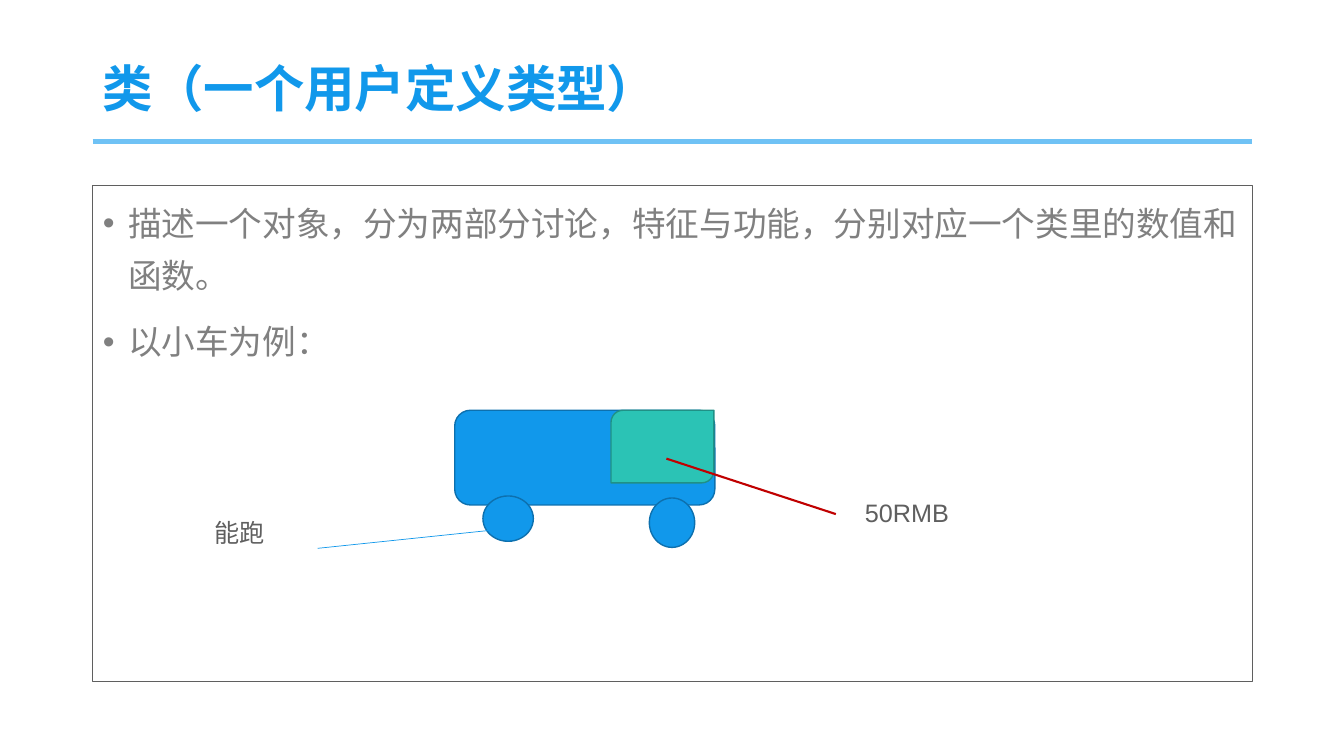
from dataclasses import dataclass

from lxml import etree
from pptx import Presentation
from pptx.dml.color import RGBColor
from pptx.enum import shapes, text
from pptx.oxml import ns
from pptx.util import Inches, Pt


@dataclass(frozen=True)
class Theme:
    font: str = "Arial"
    blue: str = "1198EB"
    blue_edge: str = "0D70AE"
    rule: str = "6FC2F5"
    teal: str = "2BC3B5"
    teal_edge: str = "209086"
    red: str = "C00000"
    dark: str = "5F5F5F"
    gray: str = "808080"
    white: str = "FFFFFF"
    title_size: int = 36
    body_size: int = 24
    label_size: int = 18


class SlideBuilder:
    def __init__(self, page, theme):
        self.page = page
        self.theme = theme

    def place(self, shape, left, top, width, height):
        shape.left, shape.top = Inches(left), Inches(top)
        shape.width, shape.height = Inches(width), Inches(height)

    def paint(self, shape, fill, edge):
        shape.fill.solid()
        shape.fill.fore_color.rgb = RGBColor.from_string(fill)
        self.stroke(shape.line, edge, 1)

    def stroke(self, line, color, width):
        line.color.rgb = RGBColor.from_string(color)
        line.width = Pt(width)

    def style(self, paragraph, size, color, bold=False):
        paragraph.font.name = self.theme.font
        paragraph.font.size = Pt(size)
        paragraph.font.bold = bold
        paragraph.font.color.rgb = RGBColor.from_string(color)

    def title(self, wording, *area):
        box = self.page.shapes.title
        self.place(box, *area)
        frame = box.text_frame
        frame.text = wording
        frame.auto_size = text.MSO_AUTO_SIZE.NONE
        frame.vertical_anchor = text.MSO_ANCHOR.MIDDLE
        paragraph = frame.paragraphs[0]
        paragraph.alignment = text.PP_ALIGN.LEFT
        paragraph.line_spacing = 0.9
        self.style(paragraph, self.theme.title_size, self.theme.blue, bold=True)

    def bullets(self, items, *area):
        box = self.page.placeholders[1]
        self.place(box, *area)
        self.paint(box, self.theme.white, self.theme.dark)
        frame = box.text_frame
        frame.text = "\n".join(items)
        frame.auto_size = text.MSO_AUTO_SIZE.NONE
        for paragraph in frame.paragraphs:
            paragraph.line_spacing = 1.3
            paragraph.space_before = Pt(10)
            self.style(paragraph, self.theme.body_size, self.theme.gray)
            self.hang_bullet(paragraph)

    def hang_bullet(self, paragraph):
        properties = paragraph._p.get_or_add_pPr()
        properties.set("marL", str(Inches(0.25)))
        properties.set("indent", str(-Inches(0.25)))
        etree.SubElement(properties, ns.qn("a:buFont")).set("typeface", self.theme.font)
        etree.SubElement(properties, ns.qn("a:buChar")).set("char", "•")

    def shape(self, kind, fill, edge, *area):
        shape = self.page.shapes.add_shape(kind, *map(Inches, area))
        shape.shadow.inherit = False
        self.paint(shape, fill, edge)

    def line(self, start, end, color, width):
        line = self.page.shapes.add_connector(
            shapes.MSO_CONNECTOR.STRAIGHT, *map(Inches, start + end))
        self.stroke(line.line, color, width)
        etree.SubElement(line._element.spPr, ns.qn("a:effectLst"))

    def label(self, wording, *area):
        box = self.page.shapes.add_textbox(*map(Inches, area))
        frame = box.text_frame
        frame.word_wrap = True
        frame.auto_size = text.MSO_AUTO_SIZE.SHAPE_TO_FIT_TEXT
        frame.text = wording
        self.style(frame.paragraphs[0], self.theme.label_size, self.theme.dark)


def main():
    deck = Presentation()
    deck.slide_width, deck.slide_height = Inches(13.33), Inches(7.5)
    theme = Theme()
    slide = SlideBuilder(deck.slides.add_slide(deck.slide_layouts[1]), theme)
    kinds = shapes.MSO_SHAPE

    slide.title("类（一个用户定义类型）", 0.92, 0.4, 11.5, 1)
    slide.line((0.92, 1.4), (12.42, 1.4), theme.rule, 3.5)
    slide.bullets(
        ["描述一个对象，分为两部分讨论，特征与功能，分别对应一个类里的数值和函数。",
         "以小车为例："],
        0.92, 1.84, 11.5, 4.92)

    # Car: body, wheels, cab
    slide.shape(kinds.ROUNDED_RECTANGLE, theme.blue, theme.blue_edge, 4.51, 4.07, 2.58, 0.94)
    for wheel in ((4.79, 4.92, 0.5, 0.45), (6.44, 4.94, 0.45, 0.49)):
        slide.shape(kinds.OVAL, theme.blue, theme.blue_edge, *wheel)
    slide.shape(kinds.ROUND_2_DIAG_RECTANGLE, theme.teal, theme.teal_edge, 6.06, 4.07, 1.02, 0.72)

    # Callouts: price and ability
    slide.line((6.61, 4.55), (8.29, 5.1), theme.red, 1.5)
    slide.label("50RMB", 8.48, 4.88, 1.18, 0.4)
    slide.line((5.07, 5.24), (3.15, 5.44), theme.blue, 0.5)
    slide.label("能跑", 2.03, 5.08, 1.38, 0.4)

    deck.save("out.pptx")


if __name__ == "__main__":
    main()
